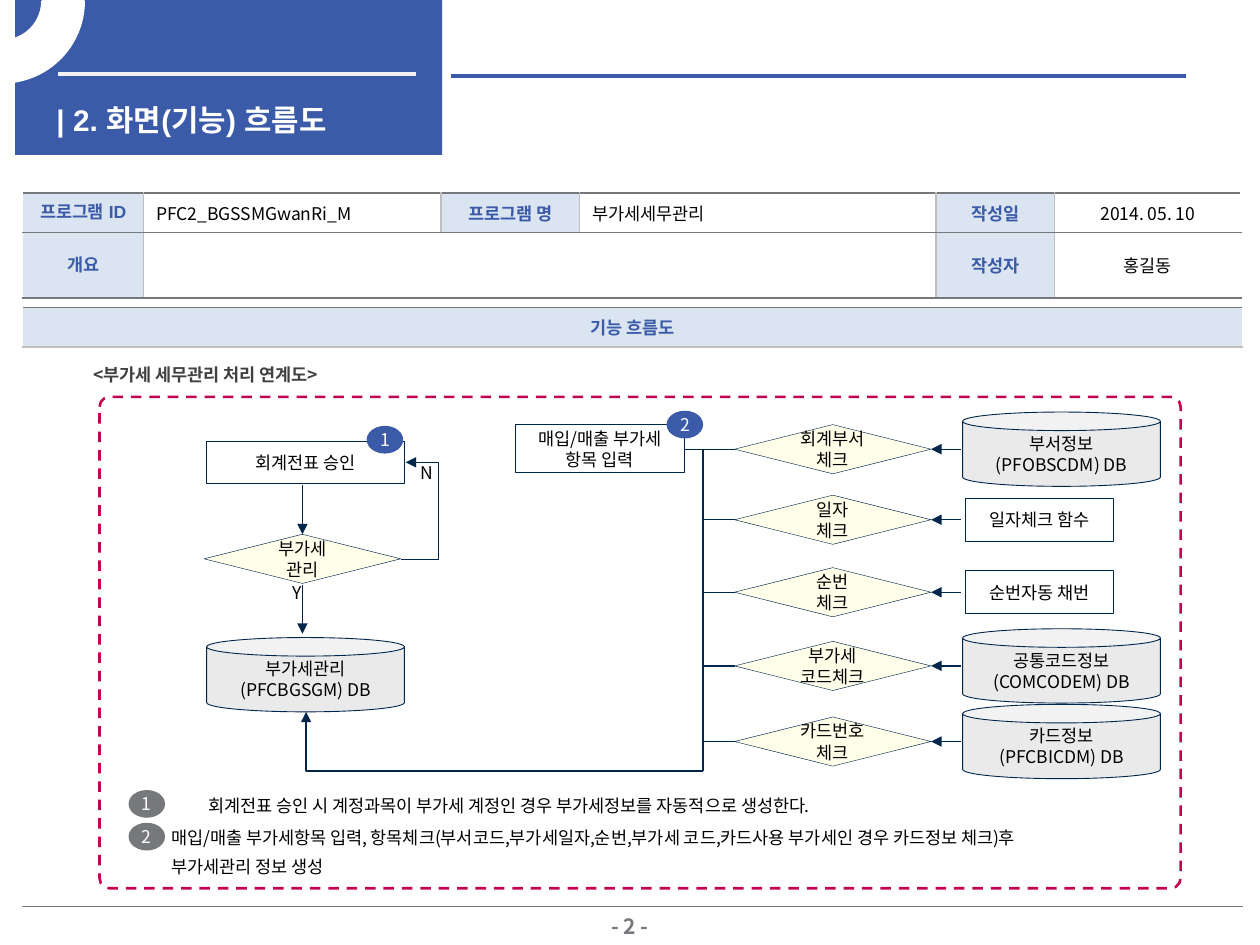
import pptx
import pptx.util
import pptx.dml.color
import pptx.enum.dml
import pptx.enum.shapes
import pptx.enum.text
import pptx.oxml
import pptx.oxml.ns
import lxml.etree

RGB = pptx.dml.color.RGBColor
BLUE = RGB(0x3B, 0x5A, 0xA8)
NAVY = RGB(0x00, 0x26, 0x4C)
GRAY = RGB(0x77, 0x78, 0x7B)
PALE = RGB(0xB9, 0xCD, 0xE5)
RULE = RGB(0xBF, 0xBF, 0xBF)
SILVER = RGB(0xEA, 0xEA, 0xEA)
CREAM = RGB(0xFF, 0xFF, 0xE9)
ROSE = RGB(0xC4, 0x04, 0x52)
DARK = RGB(0x40, 0x40, 0x40)
SNOW = RGB(0xF2, 0xF2, 0xF2)
WHITE = RGB(0xFF, 0xFF, 0xFF)
BLACK = RGB(0, 0, 0)
NOTO, ARIAL = "Noto Sans CJK KR", "Arial"
COLS, ROWS = 100, 75
KIND = pptx.enum.shapes.MSO_SHAPE
LINK = pptx.enum.shapes.MSO_CONNECTOR
ALIGN = pptx.enum.text.PP_ALIGN
MID = pptx.enum.text.MSO_ANCHOR.MIDDLE
qn = pptx.oxml.ns.qn

deck = pptx.Presentation()
deck.slide_width, deck.slide_height = pptx.util.Inches(10), pptx.util.Inches(7.5)
slide = deck.slides.add_slide(deck.slide_layouts[6])
UNIT = deck.slide_width / COLS


def grid(*vals):
    return [round(v * UNIT) for v in vals]


def add(node, tag, **attrs):
    return lxml.etree.SubElement(node, qn(tag), **attrs)


def write(frame, text, color=BLACK, size=10, bold=False, font=NOTO, align=ALIGN.CENTER, lead=None):
    frame.text = text
    for para in frame.paragraphs:
        para.alignment = align
        if lead:
            para.line_spacing = lead
            para.space_before = pptx.util.Pt(2)
        style = para.font
        style.size, style.bold, style.name = pptx.util.Pt(size), bold, font
        style.color.rgb = color
        add(para._p.pPr.find(qn("a:defRPr")), "a:ea", typeface=font)


def label(box, text, wrap=False, **style):
    frame = slide.shapes.add_textbox(*grid(*box)).text_frame
    frame.word_wrap = wrap
    write(frame, text, **style)


def draw(kind, box, fill=None, line=None, width=0.5, text="", pad=None, color=BLACK, wrap=True):
    shape = slide.shapes.add_shape(kind, *grid(*box))
    shape.shadow.inherit = False
    if fill is None:
        shape.fill.background()
    else:
        shape.fill.solid()
        shape.fill.fore_color.rgb = fill
    if line is None:
        shape.line.fill.background()
    else:
        shape.line.color.rgb = line
        shape.line.width = pptx.util.Pt(width)
    if text:
        frame = shape.text_frame
        frame.word_wrap = wrap
        frame.vertical_anchor = MID
        if pad is not None:
            inset, = grid(pad)
            frame.margin_left = frame.margin_right = inset
            frame.margin_top = frame.margin_bottom = inset
        write(frame, text, color=color)
    return shape


def link(start, end, color=NAVY, width=0.75, head=False, tail=False, kind=LINK.STRAIGHT):
    line = slide.shapes.add_connector(kind, *grid(*start, *end))
    line.line.color.rgb = color
    line.line.width = pptx.util.Pt(width)
    for flag, tag in ((head, "a:headEnd"), (tail, "a:tailEnd")):
        if flag:
            add(line.line._get_or_add_ln(), tag, type="triangle")
    add(line._element.spPr, "a:effectLst")
    return line._element.spPr.find(qn("a:prstGeom"))


def step(x, y, text, w=15.7, h=3.4):
    draw(KIND.RECTANGLE, (x, y, w, h), None, NAVY, text=text, pad=0.4)


def store(x, y, text):
    draw(KIND.CAN, (x, y, 15.7, 5.9), SILVER, NAVY, text=text, pad=0.4)


def test(x, y, text):
    draw(KIND.FLOWCHART_DECISION, (x, y, 15.6, 3.9), CREAM, NAVY, 0.25, text)


def badge(x, y, text, fill):
    draw(KIND.OVAL, (x, y, 2.9, 2.2), fill, text=text, pad=0.6, color=WHITE, wrap=False)


def edge(cell, **sides):
    props = cell._tc.get_or_add_tcPr()
    for spot, side in enumerate("LRTB"):
        line = pptx.oxml.parse_xml(
            '<a:ln%s xmlns:a="http://schemas.openxmlformats.org/drawingml/2006/main" w="12700">'
            '<a:solidFill><a:srgbClr val="%s"/></a:solidFill></a:ln%s>' % (side, sides[side], side))
        props.insert(spot, line)


def table(box, cols, rows, texts, heads, rules):
    shape = slide.shapes.add_table(len(rows), len(cols), *grid(*box, sum(cols), sum(rows)))
    body = shape.table
    body.first_row = body.horz_banding = False
    for col, size in zip(body.columns, grid(*cols)):
        col.width = size
    for row, size in zip(body.rows, grid(*rows)):
        row.height = size
    for r, line in enumerate(texts):
        for c, text in enumerate(line):
            cell = body.cell(r, c)
            cell.vertical_anchor = MID
            head = (r, c) in heads
            if head:
                cell.fill.solid()
                cell.fill.fore_color.rgb = PALE
                tint = next(cell._tc.tcPr.iter(qn("a:srgbClr")))
                add(tint, "a:alpha", val="50000")
            else:
                cell.fill.background()
            edge(cell, L=RULE if c else WHITE, R=RULE if c < len(cols) - 1 else WHITE,
                 T=rules[r], B=rules[r + 1])
            write(cell.text_frame, text, BLUE if head else BLACK, bold=head,
                  font=ARIAL if head and c == 0 and len(cols) > 1 else NOTO,
                  align=ALIGN.LEFT if c in (1, 3) else ALIGN.CENTER)
    return body


def banner(x, y):
    draw(KIND.RECTANGLE, (x, y, 33.9, 12.3), BLUE)
    link((x + 3.4, y + 5.9), (x + 31.8, y + 5.9), SNOW, 2.25)
    link((x + 34.6, y + 6), (x + 92.9, y + 6), BLUE, 2.25)
    label((x + 2.3, y + 7.6, 30.7, 3.2), "| 2. 화면(기능) 흐름도", True,
          color=WHITE, size=17, bold=True, font=ARIAL, align=ALIGN.LEFT)
    arc = draw(KIND.BLOCK_ARC, (x - 7.5, y - 6.3, 12.9, 12.8), WHITE, WHITE, 2)
    arc.adjustments[0], arc.adjustments[1], arc.adjustments[2] = 96.95, 0, 0.25
    arc._element.spPr.find(qn("a:xfrm")).set("flipV", "1")


def info(x, y):
    body = table((x, y), (9.6, 23.6, 11, 28.3, 9.4, 14.8), (3.15, 5.2), (
        ("프로그램 ID", "PFC2_BGSSMGwanRi_M", "프로그램 명", "부가세세무관리", "작성일", "2014. 05. 10"),
        ("개요", "", "", "", "작성자", "홍길동")),
        {(0, 0), (0, 2), (0, 4), (1, 0), (1, 4)}, (GRAY, GRAY, GRAY))
    body.cell(1, 1).merge(body.cell(1, 3))
    table((x, y + 9.1), (96.8,), (3.15, 44.4), (("기능 흐름도",), ("",)), {(0, 0)}, (GRAY, RULE, GRAY))


def panel(x, y):
    label((x - 1.5, y - 3.4, 54.3, 2.8), "<부가세 세무관리 처리 연계도>", True,
          color=DARK, bold=True, align=ALIGN.LEFT, lead=1.2)
    frame = draw(KIND.ROUNDED_RECTANGLE, (x, y, 85.8, 39), None, ROSE, 1.5)
    frame.adjustments[0] = 0.02
    frame.line.dash_style = pptx.enum.dml.MSO_LINE.DASH


def ledger(x, y):
    step(x, y, "회계전표 승인")
    store(x, y + 15.6, "부가세관리\n(PFCBGSGM) DB")
    test(x - 0.2, y + 7.4, "부가세\n관리")
    for top in (3.5, 11.4):
        link((x + 7.6, y + top), (x + 7.6, y + top + 3.9), tail=True)
    loop = link((x + 15.4, y + 9.4), (x + 15.8, y + 1.7), tail=True, kind=LINK.ELBOW)
    add(loop.get_or_add_avLst(), "a:gd", name="adj1", fmla="val 755500")
    label((x + 5.8, y + 10.7, 2.8, 2.7), "Y")
    label((x + 15.9, y + 1.2, 3.1, 2.7), "N")
    badge(x + 12.7, y - 1.2, "1", BLUE)


def checks(x, y):
    step(x, y, "매입/매출 부가세\n항목 입력", 13.4, 3.8)
    spine = x + 14.9
    link((x + 13.5, y + 1.95), (x + 17.4, y + 1.95))
    link((spine, y + 27.5), (spine, y + 1.95))
    for top, text, kind, source in (
            (0, "회계부서\n체크", store, "부서정보\n(PFOBSCDM) DB"),
            (5.6, "일자\n체크", step, "일자체크 함수"),
            (11.35, "순번\n체크", step, "순번자동 채번"),
            (17.2, "부가세\n코드체크", store, "공통코드정보\n(COMCODEM) DB"),
            (23.2, "카드번호체크", store, "카드정보\n(PFCBICDM) DB")):
        mid = y + top + 1.95
        test(x + 17.4, y + top, text)
        if top:
            link((spine, mid), (x + 17.4, mid))
        link((x + 33, mid), (x + 35.4, mid), head=True)
        if kind is store:
            store(x + 35.5, mid - 2.95, source)
        else:
            step(x + 35.7, mid - 1.7, source, 11.8)
    back = link((spine, y + 27.5), (x - 16.6, y + 22.8), tail=True, kind=LINK.ELBOW)
    back.set("prst", "bentConnector2")
    badge(x + 12, y - 1.1, "2", BLUE)


def notes(x, y):
    badge(x, y, "1", GRAY)
    label((x + 2.3, y - 0.4, 55.8, 2.8),
          "회계전표 승인 시 계정과목이 부가세 계정인 경우 부가세정보를 자동적으로 생성한다.", lead=1.2)
    badge(x, y + 2.6, "2", GRAY)
    label((x + 2.4, y + 2.1, 77.7, 5.4),
          "매입/매출 부가세항목 입력, 항목체크(부서코드,부가세일자,순번,부가세 코드,"
          "카드사용 부가세인 경우 카드정보 체크)후\n부가세관리 정보 생성", align=ALIGN.LEFT, lead=1.2)


label((47.2, 72, 5.6, 3), "- 2 -", color=GRAY, size=12, bold=True)
info(1.8, 15.3)
panel(7.9, 31.5)
ledger(16.4, 35)
checks(40.9, 33.7)
notes(10.2, 62.7)
banner(1.2, 0)
deck.save("out.pptx")
